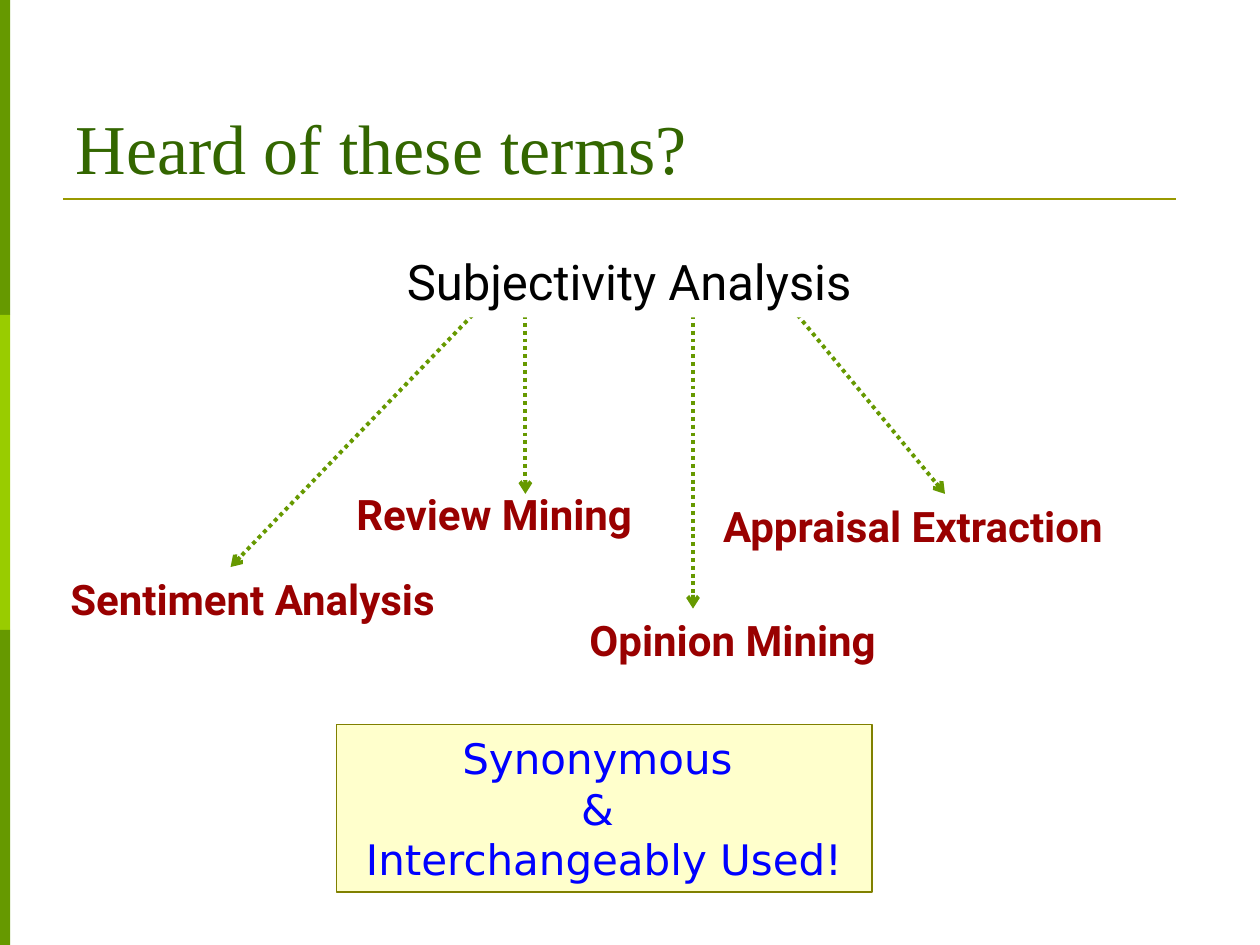
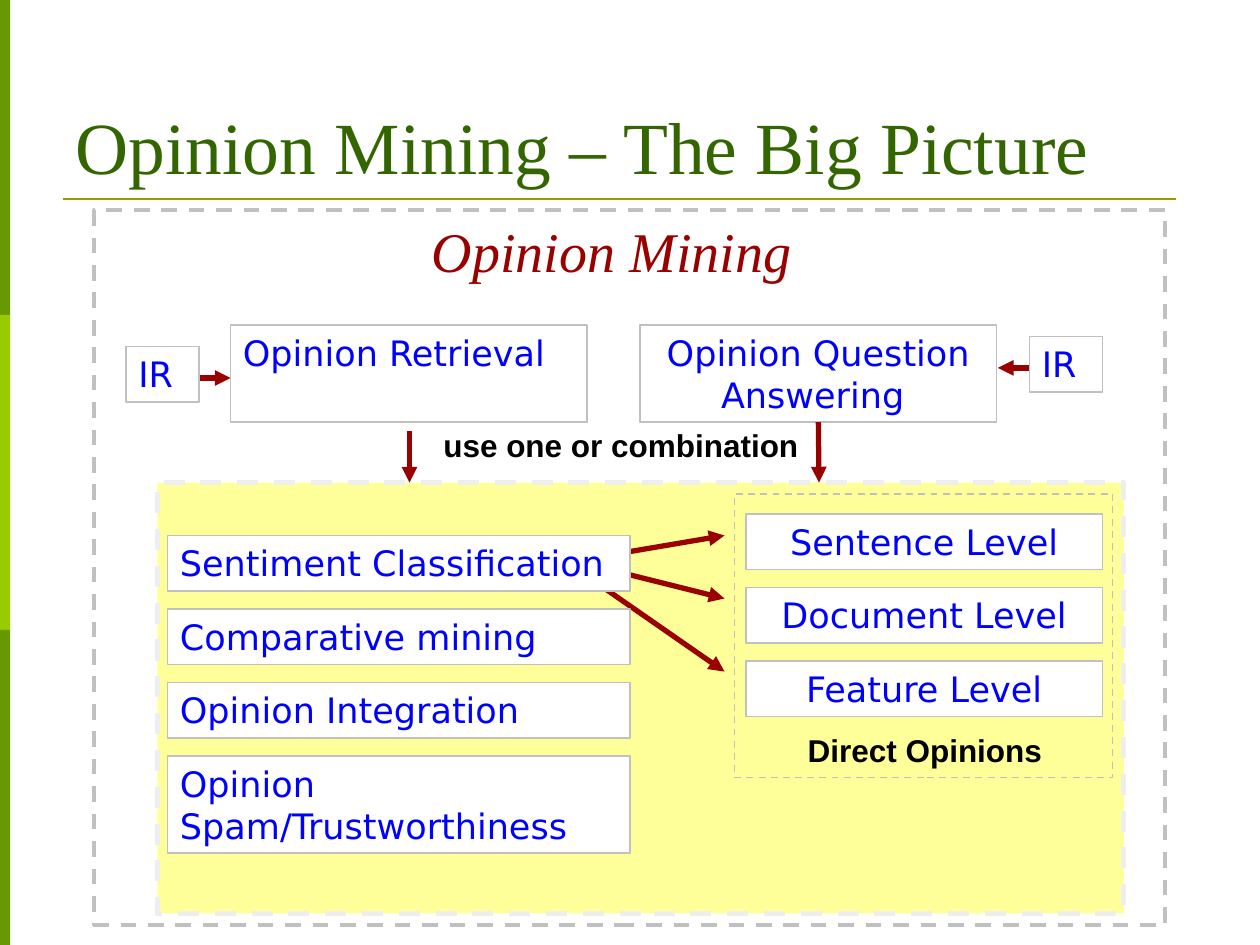
from dataclasses import dataclass

from lxml.etree import SubElement
from pptx import Presentation
from pptx.dml.color import RGBColor
from pptx.enum.dml import MSO_LINE
from pptx.enum.shapes import MSO_CONNECTOR, MSO_SHAPE
from pptx.enum.text import MSO_ANCHOR, MSO_AUTO_SIZE, PP_ALIGN
from pptx.oxml.ns import qn
from pptx.util import Inches, Pt

COLOURS = {
    "green": "669900",
    "lime": "99CC00",
    "olive": "999900",
    "title": "336600",
    "red": "990000",
    "blue": "0000FF",
    "black": "000000",
    "white": "FFFFFF",
    "grey": "C0C0C0",
    "pale_grey": "EEEEEE",
    "yellow": "FFFF99",
    "cream": "FFFFCC",
    "cream_edge": "808000",
}
SERIF, SANS, TERM_FONT, LABEL_FONT = "Times New Roman", "DejaVu Sans", "Roboto", "Arial"
TITLE_ONLY = 5
BAND_HEIGHT = 2.5
ROW_STEP = 7 / 12  # distance between stacked boxes
BOTTOM = 2  # connection site


@dataclass
class Area:
    left: float
    top: float
    width: float
    height: float

    def lengths(self) -> list:
        return [Inches(n) for n in (self.left, self.top, self.width, self.height)]


@dataclass
class Label:
    text: str
    area: Area
    align: PP_ALIGN = PP_ALIGN.LEFT


@dataclass
class Arrow:
    start: tuple[float, float]
    end: tuple[float, float]


# Shared drawing functions
def colour(name: str) -> RGBColor:
    return RGBColor.from_string(COLOURS[name])


def write(shape, text: str, *, font: str, size: float, ink: str, bold=False,
          italic=False, align=PP_ALIGN.LEFT, anchor=MSO_ANCHOR.TOP) -> None:
    frame = shape.text_frame
    frame.word_wrap = True
    frame.auto_size = MSO_AUTO_SIZE.NONE
    frame.vertical_anchor = anchor
    frame.text = text
    for paragraph in frame.paragraphs:
        paragraph.alignment = align
        paragraph.font.name = font
        paragraph.font.size = Pt(size)
        paragraph.font.bold = bold
        paragraph.font.italic = italic
        paragraph.font.color.rgb = colour(ink)


def add_text(slide, label: Label, **text_format) -> None:
    shape = slide.shapes.add_textbox(*label.area.lengths())
    write(shape, label.text, align=label.align, **text_format)


def add_box(slide, area: Area, fill=None, edge=None, width=1.0, dash=None):
    shape = slide.shapes.add_shape(MSO_SHAPE.RECTANGLE, *area.lengths())
    shape.shadow.inherit = False
    if fill:
        shape.fill.solid()
        shape.fill.fore_color.rgb = colour(fill)
    else:
        shape.fill.background()
    if edge:
        shape.line.color.rgb = colour(edge)
        shape.line.width = Pt(width)
        if dash:
            shape.line.dash_style = dash
    else:
        shape.line.fill.background()
    return shape


def add_line(slide, arrow: Arrow, ink: str, width: float, dash=None, head=None):
    points = [Inches(n) for n in (*arrow.start, *arrow.end)]
    connector = slide.shapes.add_connector(MSO_CONNECTOR.STRAIGHT, *points)
    connector.line.color.rgb = colour(ink)
    connector.line.width = Pt(width)
    if dash:
        connector.line.dash_style = dash
    properties = connector.element.spPr
    if head:
        SubElement(properties.find(qn("a:ln")), qn("a:tailEnd"), type=head)
    SubElement(properties, qn("a:effectLst"))
    return connector


def add_red_arrow(slide, arrow: Arrow):
    return add_line(slide, arrow, "red", 3, head="triangle")


def add_topic(slide, label: Label):
    """White box with blue text."""
    shape = add_box(slide, label.area, "white", "grey")
    write(shape, label.text, font=SANS, size=20, ink="blue", align=label.align)
    return shape


def start_slide(presentation, title: str, title_size: float):
    """Add a slide with the side bands, the rule and the title."""
    slide = presentation.slides.add_slide(presentation.slide_layouts[TITLE_ONLY])
    for index, fill in enumerate(("green", "lime", "green")):
        add_box(slide, Area(0, index * BAND_HEIGHT, 0.08, BAND_HEIGHT), fill)
    add_line(slide, Arrow((0.5, 1.58), (9.33, 1.58)), "olive", 1.5)
    placeholder = slide.shapes.title
    placeholder.left, placeholder.top, placeholder.width, placeholder.height = (
        Area(0.5, 0.3, 9, 1.25).lengths())
    write(placeholder, title, font=SERIF, size=title_size, ink="title",
          anchor=MSO_ANCHOR.BOTTOM)
    return slide


# Slide 1: related terms
def build_terms(presentation) -> None:
    slide = start_slide(presentation, "Heard of these terms?", 40)
    terms = [
        Label("Opinion Mining", Area(4.58, 4.83, 2.75, 0.9)),
        Label("Review Mining", Area(2.73, 3.83, 2.64, 0.5)),
        Label("Sentiment Analysis", Area(0.46, 4.5, 3.39, 0.5)),
        Label("Appraisal Extraction", Area(5.64, 3.92, 3.58, 0.5)),
    ]
    for term in terms:
        add_text(slide, term, font=TERM_FONT, size=24, ink="red", bold=True)

    term_arrows = [
        Arrow((3.75, 2.5), (1.83, 4.5)),
        Arrow((4.17, 2.5), (4.17, 3.92)),
        Arrow((5.5, 2.5), (5.5, 4.83)),
        Arrow((6.33, 2.5), (7.5, 3.92)),
    ]
    for arrow in term_arrows:
        add_line(slide, arrow, "green", 2.25, MSO_LINE.ROUND_DOT, "arrow")

    parent_term = add_box(slide, Area(3.13, 1.95, 3.85, 0.57), "white")
    write(parent_term, "Subjectivity Analysis", font=TERM_FONT, size=28, ink="black")

    remark = add_box(slide, Area(2.67, 5.75, 4.25, 1.33), "cream", "cream_edge")
    write(remark, "Synonymous \n& \nInterchangeably Used!", font=SANS, size=24,
          ink="blue", align=PP_ALIGN.CENTER, anchor=MSO_ANCHOR.MIDDLE)


# Slide 2: map of the field
def build_big_picture(presentation) -> None:
    slide = start_slide(presentation, "Opinion Mining – The Big Picture", 42)

    # Frames, with the arrows that lie behind the boxes
    add_box(slide, Area(0.75, 1.67, 8.5, 5.67), None, "grey", 2.25, MSO_LINE.DASH)
    add_red_arrow(slide, Arrow((3.25, 3.42), (3.25, 3.83)))
    add_box(slide, Area(1.25, 3.83, 7.67, 3.42), "yellow", "pale_grey", 3, MSO_LINE.DASH)
    add_box(slide, Area(5.83, 3.92, 3, 2.25), None, "grey", 1, MSO_LINE.DASH)
    box_arrows = [
        Arrow((4.75, 4.42), (5.75, 4.25)),
        Arrow((4.75, 4.5), (5.75, 4.75)),
        Arrow((4.67, 4.58), (5.75, 5.33)),
        Arrow((1.42, 3), (1.83, 3)),
        Arrow((8.17, 2.92), (7.92, 2.92)),
    ]
    for arrow in box_arrows:
        add_red_arrow(slide, arrow)

    # Retrieval and question answering
    add_topic(slide, Label("Opinion Retrieval", Area(1.83, 2.58, 2.83, 0.77)))
    answering = add_topic(slide, Label("Opinion Question Answering ",
                                       Area(5.08, 2.58, 2.83, 0.77), PP_ALIGN.CENTER))
    answering_arrow = add_red_arrow(slide, Arrow((6.5, 3.35), (6.5, 3.83)))
    answering_arrow.begin_connect(answering, BOTTOM)
    for left, top in ((1, 2.75), (8.17, 2.67)):
        add_topic(slide, Label("IR", Area(left, top, 0.58, 0.44)))

    # Mining tasks and levels of analysis
    tasks = ("Sentiment Classification", "Comparative mining",
             "Opinion Integration", "Opinion Spam/Trustworthiness")
    for row, task in enumerate(tasks):
        height = 0.77 if task == tasks[-1] else 0.44
        add_topic(slide, Label(task, Area(1.33, 4.25 + row * ROW_STEP, 3.67, height)))
    for row, level in enumerate(("Sentence", "Document", "Feature")):
        area = Area(5.92, 4.08 + row * ROW_STEP, 2.83, 0.44)
        add_topic(slide, Label(f"{level} Level", area, PP_ALIGN.CENTER))

    # Captions
    add_text(slide, Label("Opinion Mining", Area(3.33, 1.67, 3.75, 1.17)),
             font=SERIF, size=32, ink="red", italic=True)
    captions = [
        Label("use one or combination", Area(3.42, 3.33, 3.92, 0.7)),
        Label("Direct Opinions ", Area(6, 5.75, 2.75, 0.7), PP_ALIGN.CENTER),
    ]
    for caption in captions:
        add_text(slide, caption, font=LABEL_FONT, size=18, ink="black", bold=True)


def main() -> None:
    presentation = Presentation()
    presentation.slide_width = Inches(10)
    presentation.slide_height = Inches(7.5)
    build_terms(presentation)
    build_big_picture(presentation)
    presentation.save("out.pptx")


if __name__ == "__main__":
    main()
